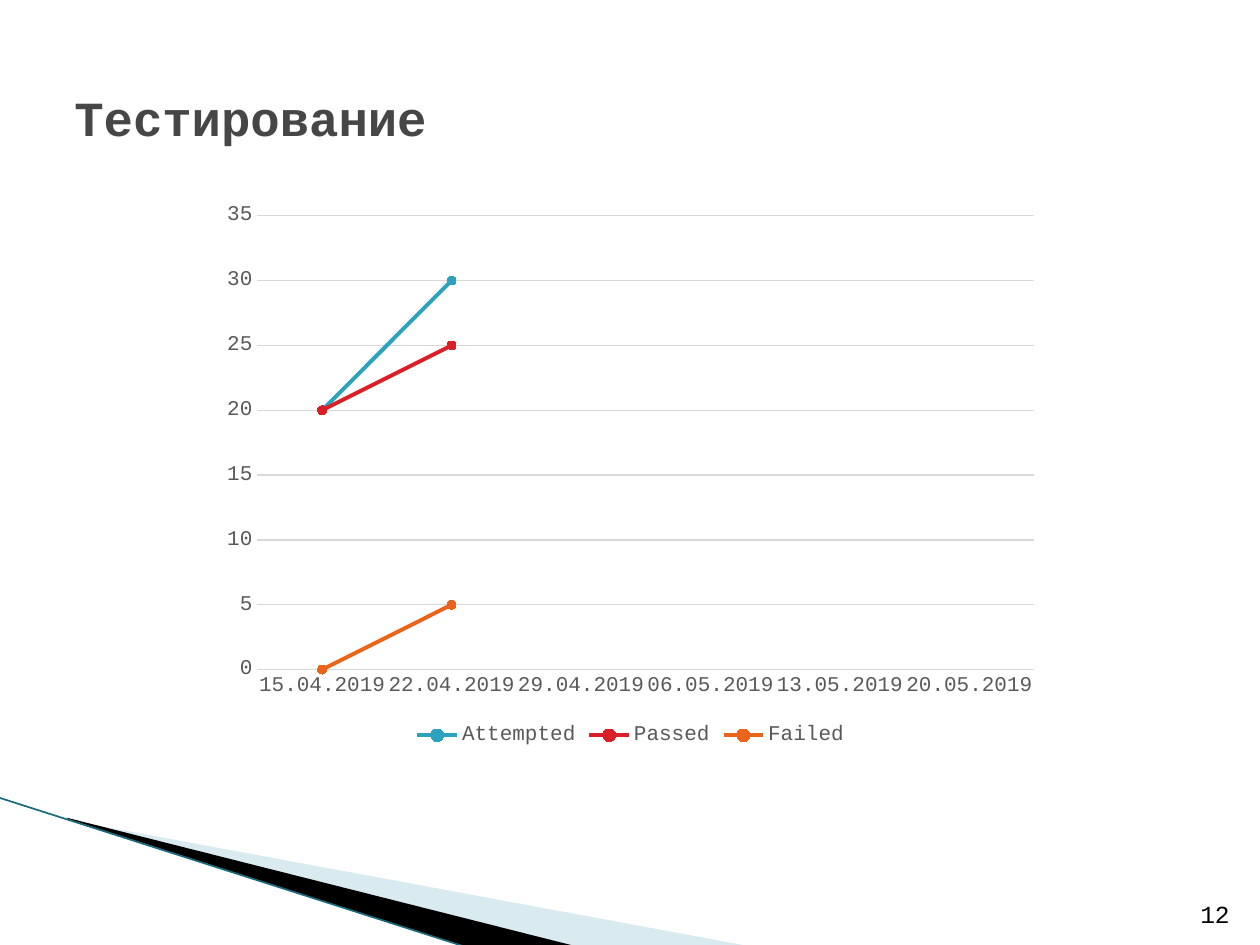
"""Build the testing-progress slide with its line chart."""
from dataclasses import dataclass

from lxml import etree
from pptx import Presentation, util as u
from pptx.chart.data import CategoryChartData
from pptx.dml.color import RGBColor
from pptx.enum import chart as charts, shapes, text
from pptx.oxml.ns import qn

SCALE = 9144
FONT = "Courier New"
COLORS = {
    "title": "464646", "number": "000000", "label": "595959", "grid": "D9D9D9",
    "pale": "A0CBDC", "black": "000000", "edge": "17697C",
    "attempted": "2DA2BF", "passed": "DA1F28", "failed": "EB641B",
}


@dataclass
class Wedge:
    points: list[tuple[int, int]]
    color: str
    opacity: int = 100


@dataclass
class Series:
    name: str
    values: tuple[int, ...]
    color: str


WEDGES = [
    Wedge([(55, 651), (595, 751), (456, 751), (55, 650)], "pale", 40),
    Wedge([(53, 649), (457, 751), (372, 752), (54, 650)], "black"),
]
DATES = ["15.04.2019", "22.04.2019", "29.04.2019", "06.05.2019", "13.05.2019", "20.05.2019"]
SERIES = [
    Series("Attempted", (20, 30), "attempted"),
    Series("Passed", (20, 25), "passed"),
    Series("Failed", (0, 5), "failed"),
]


def px(*lengths: int) -> list[int]:
    """Turn px lengths into EMU."""
    return [u.Emu(length * SCALE) for length in lengths]


def rgb(name: str) -> RGBColor:
    """Look up a named colour."""
    return RGBColor.from_string(COLORS[name])


def apply(target, **values) -> None:
    """Set each named attribute on the target."""
    for name, value in values.items():
        setattr(target, name, value)


def style_font(font, size: int, color: str, bold: bool = False) -> None:
    """Format a font."""
    apply(font, name=FONT, size=u.Pt(size), bold=bold)
    font.color.rgb = rgb(color)


def style_line(line, color: str, width: float) -> None:
    """Format a line."""
    line.color.rgb = rgb(color)
    line.width = u.Pt(width)


def write(box, words: str, size: int, color: str, align, anchor, bold: bool = False) -> None:
    """Fill a text shape with one formatted span."""
    apply(box.text_frame, word_wrap=True, vertical_anchor=anchor, auto_size=text.MSO_AUTO_SIZE.NONE)
    apply(box.text_frame, **dict(zip(
        ("margin_left", "margin_top", "margin_right", "margin_bottom"), px(9, 4, 9, 4))))
    para = box.text_frame.paragraphs[0]
    para.alignment = align
    span = para.add_run()
    span.text = words
    style_font(span.font, size, color, bold)


def draw_wedge(page, wedge: Wedge) -> None:
    """Draw one decorative wedge."""
    start, *rest = wedge.points
    builder = page.shapes.build_freeform(*start, scale=SCALE)
    builder.add_line_segments(rest)
    shape = builder.convert_to_shape()
    shape.shadow.inherit = False
    shape.line.fill.background()
    shape.fill.solid()
    shape.fill.fore_color.rgb = rgb(wedge.color)
    if wedge.opacity < 100:
        color = shape.fill._xPr.find(qn("a:solidFill"))[0]
        etree.SubElement(color, qn("a:alpha"), val=str(wedge.opacity * 1000))


def draw_edge(page) -> None:
    """Draw the thin line along the wedges."""
    edge = page.shapes.add_connector(shapes.MSO_CONNECTOR.STRAIGHT, *px(-1, 633, 371, 752))
    style_line(edge.line, "edge", 0.95)
    etree.SubElement(edge._element.spPr, qn("a:effectLst"))


def draw_chart(page) -> None:
    """Draw the test results by date."""
    data = CategoryChartData()
    data.categories = DATES
    for item in SERIES:
        data.add_series(item.name, item.values + (None,) * (len(DATES) - len(item.values)))
    chart = page.shapes.add_chart(
        charts.XL_CHART_TYPE.LINE_MARKERS, *px(167, 153, 667, 444), data).chart
    apply(chart, has_title=False, has_legend=True)
    style_font(chart.font, 10, "black")
    apply(chart.legend, position=charts.XL_LEGEND_POSITION.BOTTOM, include_in_layout=False)
    style_font(chart.legend.font, 12, "label")

    for axis in (chart.category_axis, chart.value_axis):
        apply(axis, major_tick_mark=charts.XL_TICK_MARK.NONE, minor_tick_mark=charts.XL_TICK_MARK.NONE)
        style_font(axis.tick_labels.font, 12, "label")
    style_line(chart.category_axis.format.line, "grid", 0.75)
    apply(chart.value_axis, minimum_scale=0, maximum_scale=35, major_unit=5)
    chart.value_axis.format.line.fill.background()
    style_line(chart.value_axis.major_gridlines.format.line, "grid", 0.75)

    chart.plots[0].vary_by_categories = False
    for series, item in zip(chart.plots[0].series, SERIES):
        series.smooth = False
        style_line(series.format.line, item.color, 2.25)
        apply(series.marker, style=charts.XL_MARKER_STYLE.CIRCLE, size=5)
        series.marker.format.fill.solid()
        series.marker.format.fill.fore_color.rgb = rgb(item.color)
        style_line(series.marker.format.line, item.color, 0.75)


def main() -> None:
    """Build and save the deck."""
    deck = Presentation()
    deck.slide_width, deck.slide_height = px(1000, 750)
    page = deck.slides.add_slide(deck.slide_layouts[5])
    for wedge in WEDGES:
        draw_wedge(page, wedge)
    draw_edge(page)
    title = page.shapes.title
    apply(title, **dict(zip(("left", "top", "width", "height"), px(50, 30, 900, 125))))
    write(title, "Тестирование", 28, "title", text.PP_ALIGN.LEFT, text.MSO_ANCHOR.MIDDLE, True)
    number = page.shapes.add_textbox(*px(933, 701, 52, 40))
    write(number, "12", 14, "number", text.PP_ALIGN.RIGHT, text.MSO_ANCHOR.BOTTOM)
    draw_chart(page)
    deck.save("out.pptx")


if __name__ == "__main__":
    main()
